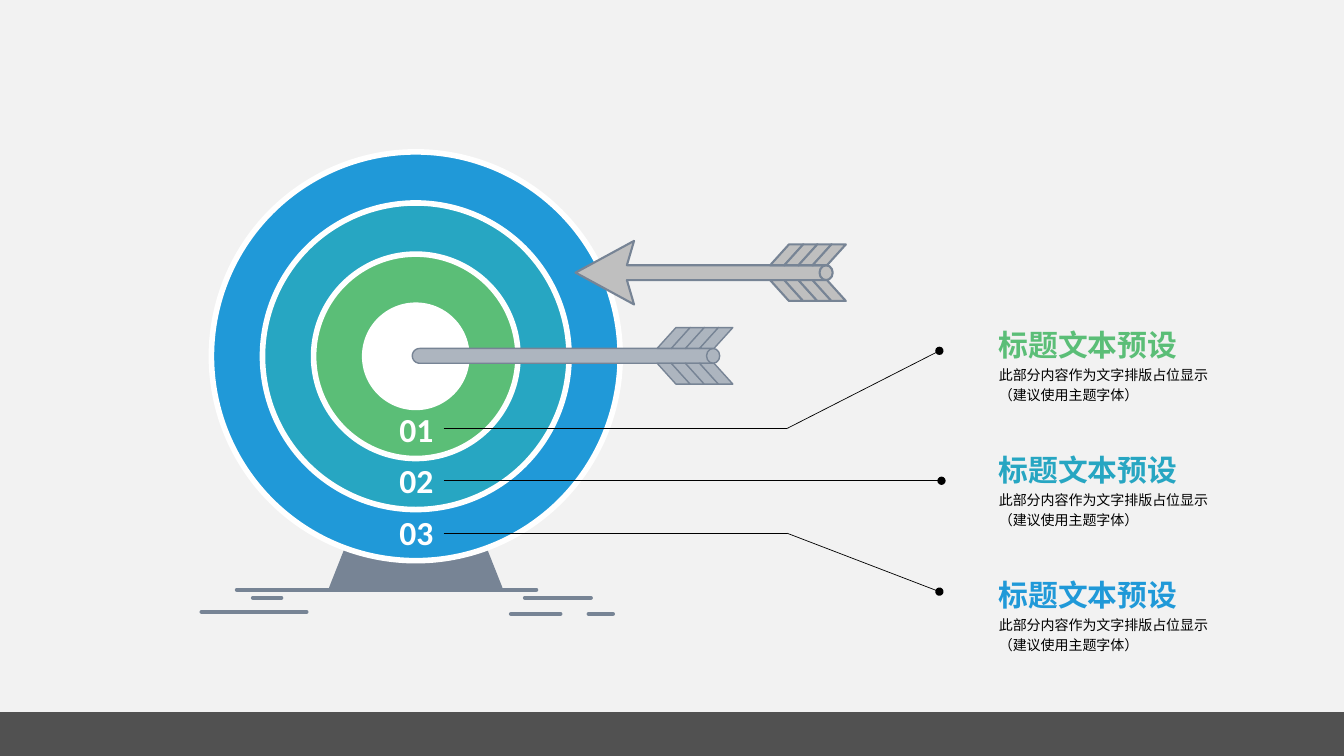
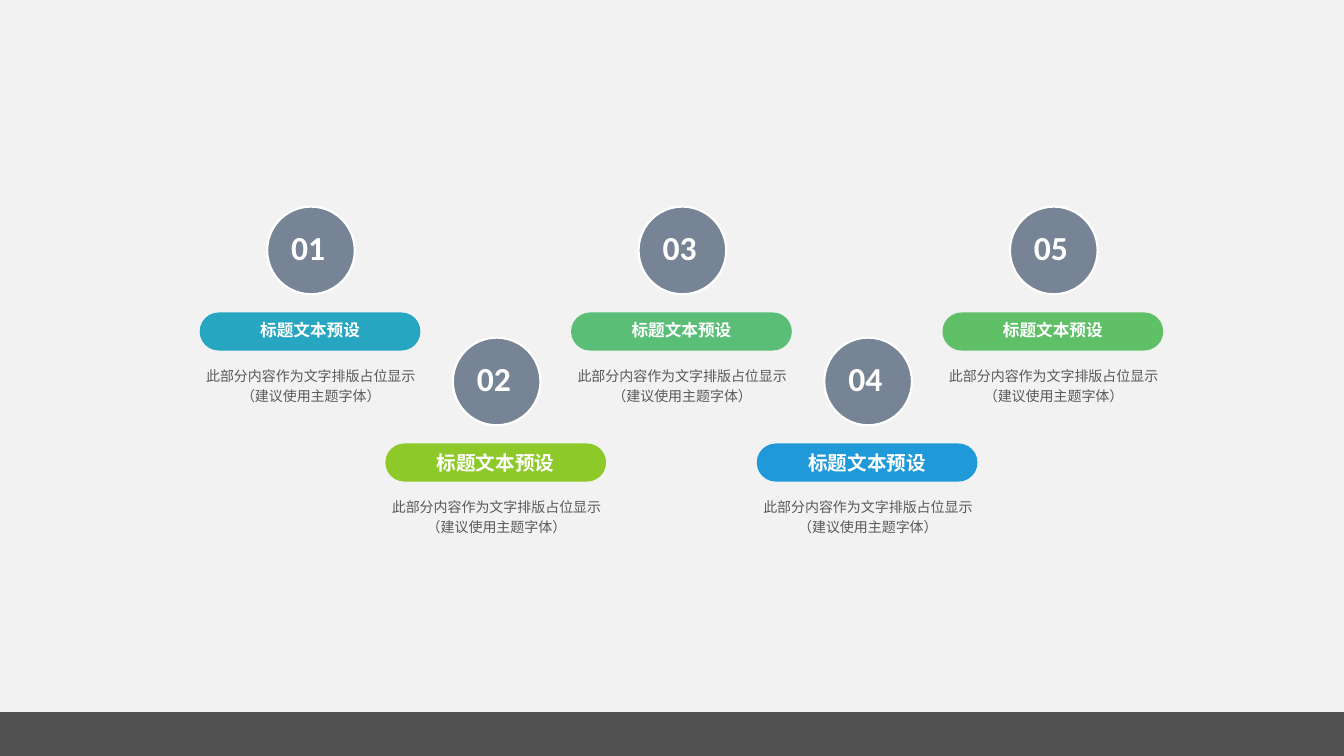
import math
from itertools import pairwise

from lxml import etree
from pptx import Presentation
from pptx.dml.color import RGBColor
from pptx.enum.lang import MSO_LANGUAGE_ID
from pptx.enum.shapes import MSO_CONNECTOR, MSO_SHAPE
from pptx.enum.text import MSO_ANCHOR, PP_ALIGN
from pptx.oxml.ns import qn
from pptx.util import Pt

RECTANGLE, ELLIPSE = MSO_SHAPE.RECTANGLE, MSO_SHAPE.OVAL
TRAPEZOID, PARALLELOGRAM = MSO_SHAPE.TRAPEZOID, MSO_SHAPE.PARALLELOGRAM
ROUNDED = MSO_SHAPE.ROUNDED_RECTANGLE
STRAIGHT = MSO_CONNECTOR.STRAIGHT
LEFT, CENTER = PP_ALIGN.LEFT, PP_ALIGN.CENTER
TOP, MIDDLE = MSO_ANCHOR.TOP, MSO_ANCHOR.MIDDLE
CHINESE = MSO_LANGUAGE_ID.SIMPLIFIED_CHINESE

FONT = "Calibri"
WIDTH, HEIGHT = 960, 540
BAND_TOP = 508.7
PAPER, BAND, WHITE, BLACK = "F2F2F2", "0D0D0D", "FFFFFF", "000000"
SLATE, BODY_GRAY = "778495", "595959"
GREEN, TEAL, BLUE, LIME, LEAF = "5BBE77", "27A6C2", "2099D8", "8DC928", "60C067"

TITLE = "标题文本预设"
DESCRIPTION = ["此部分内容作为文字排版占位显示", "（建议使用主题字体）"]

# Target slide: colours from the inner ring to the outer one
RING_COLORS = [WHITE, GREEN, TEAL, BLUE]
TARGET_X, TARGET_Y, RING_STEP = 297, 254.5, 73
# (number, leader points) for each ring
LEADERS = [
    ("01", [(316.8, 306), (562.3, 306), (671, 250.6)]),
    ("02", [(316.8, 343.4), (672.5, 343.4)]),
    ("03", [(316.8, 380.9), (562.3, 380.9), (671, 422.6)]),
]
# (from x, to x, y)
GROUND_LINES = [
    (169.2, 383, 421.2), (180.7, 200.9, 427), (375, 422, 427),
    (365, 400.3, 438.5), (144, 218.9, 437), (420.5, 437.8, 438.5),
]
SHAFT_HALF = 5.3

# Steps slide: (number, pill colour, title size, title line spacing)
STEPS = [
    ("01", TEAL, 11.9, 0.8),
    ("02", LIME, 14, 1),
    ("03", GREEN, 11.9, 0.8),
    ("04", BLUE, 14, 1),
    ("05", LEAF, 11.9, 0.8),
]


def rgb(value):
    return RGBColor.from_string(value)


def paint(shape, fill, line=None, weight=1):
    shape.shadow.inherit = False
    shape.fill.solid()
    shape.fill.fore_color.rgb = rgb(fill)
    if line:
        shape.line.color.rgb = rgb(line)
        shape.line.width = Pt(weight)
    else:
        shape.line.fill.background()


def add_figure(slide, kind, box, fill, line=None, weight=1, adjust=None):
    shape = slide.shapes.add_shape(kind, *map(Pt, box))
    paint(shape, fill, line, weight)
    if adjust is not None:
        shape.adjustments[0] = adjust
    return shape


def add_outline(slide, points, fill, line, weight):
    start, *rest = [(Pt(x), Pt(y)) for x, y in points]
    builder = slide.shapes.build_freeform(*start)
    builder.add_line_segments(rest, close=True)
    paint(builder.convert_to_shape(), fill, line, weight)


def write(shape, lines, size, color, bold=False, align=CENTER, anchor=MIDDLE,
          spacing=1, insets=(0, 0, 0, 0), wrap=False):
    """Fill a shape with one paragraph per line; insets run left, top, right, bottom."""
    frame = shape.text_frame
    left, top, right, bottom = map(Pt, insets)
    frame_format = {
        "word_wrap": wrap, "vertical_anchor": anchor, "margin_left": left,
        "margin_top": top, "margin_right": right, "margin_bottom": bottom,
    }
    for name, value in frame_format.items():
        setattr(frame, name, value)
    frame.text = "\n".join(lines)
    font_format = {"name": FONT, "size": Pt(size), "bold": bold, "language_id": CHINESE}
    for paragraph in frame.paragraphs:
        paragraph.alignment = align
        paragraph.line_spacing = spacing
        font = paragraph.runs[0].font
        for name, value in font_format.items():
            setattr(font, name, value)
        font.color.rgb = rgb(color)


def add_text(slide, box, lines, size, color, **options):
    write(slide.shapes.add_textbox(*map(Pt, box)), lines, size, color, **options)


def add_line(slide, start, end, color, weight, dot=False, round_cap=False):
    line = slide.shapes.add_connector(STRAIGHT, *map(Pt, (*start, *end)))
    line.line.color.rgb = rgb(color)
    line.line.width = Pt(weight)
    properties = line.element.spPr
    etree.SubElement(properties, qn("a:effectLst"))
    stroke = properties.find(qn("a:ln"))
    if round_cap:
        stroke.set("cap", "rnd")
    if dot:
        etree.SubElement(stroke, qn("a:tailEnd")).set("type", "oval")


def set_up_master(prs, slide):
    """Give the master its background and bottom band, drawn first on a slide."""
    master = prs.slide_master
    master.background.fill.solid()
    master.background.fill.fore_color.rgb = rgb(PAPER)
    band = add_figure(slide, RECTANGLE, (0, BAND_TOP, WIDTH, HEIGHT - BAND_TOP), BAND)
    color = band.element.spPr.find(qn("a:solidFill"))[0]
    etree.SubElement(color, qn("a:alpha")).set("val", "70000")
    master.shapes.element.append(band.element)


def add_arrow(slide, shaft, nock_left, axis, fill, weight):
    """Draw an arrow; shaft points are relative to its axis."""
    style = (fill, SLATE, weight)
    add_outline(slide, [(x, axis + dy) for x, dy in shaft], *style)
    nock = (nock_left, axis - SHAFT_HALF, 9.4, 2 * SHAFT_HALF)
    add_figure(slide, ELLIPSE, nock, *style)
    vane_width, vane_height, vane_step = 23.8, 14.9, 10.1
    for below in (False, True):
        top = axis + SHAFT_HALF if below else axis - SHAFT_HALF - vane_height
        for i in range(4):
            box = (nock_left - 35.3 + i * vane_step, top, vane_width, vane_height)
            vane = add_figure(slide, PARALLELOGRAM, box, *style, adjust=0.904)
            if below:
                vane.element.spPr.find(qn("a:xfrm")).set("flipV", "1")


def build_target(slide):
    add_figure(slide, TRAPEZOID, (236.9, 370.8, 120.2, 49.7), SLATE, SLATE, 4, 0.396)
    for rank in range(len(RING_COLORS), 0, -1):
        size = rank * RING_STEP
        box = (TARGET_X - size / 2, TARGET_Y - size / 2, size, size)
        add_figure(slide, ELLIPSE, box, RING_COLORS[rank - 1], WHITE, 4)

    hit_left, hit_nock = 294.5, 504.7
    cap = [
        (hit_left + SHAFT_HALF - SHAFT_HALF * math.sin(angle), SHAFT_HALF * math.cos(angle))
        for angle in (math.pi * i / 12 for i in range(13))
    ]
    shaft_end = hit_nock + 4.7
    hit_shaft = [(shaft_end, -SHAFT_HALF), (shaft_end, SHAFT_HALF), *cap]
    add_arrow(slide, hit_shaft, hit_nock, 254.2, "ADB5BF", 1)

    upper = [(411.1, 0), (452.9, -22.7), (447.8, -SHAFT_HALF), (589.7, -SHAFT_HALF)]
    lower = [(x, -dy) for x, dy in reversed(upper[1:])]
    add_arrow(slide, upper + lower, 585.4, 194.8, "BFBFBF", 1.5)

    for x1, x2, y in GROUND_LINES:
        add_line(slide, (x1, y), (x2, y), SLATE, 3, round_cap=True)

    for i, (number, points) in enumerate(LEADERS):
        add_text(slide, (283.7, 295.2 + i * 36.7, 27.4, 25.9), [number], 24, WHITE,
                 bold=True, spacing=0.9)
        for start, end in pairwise(points):
            add_line(slide, start, end, BLACK, 0.5, dot=end == points[-1])
        top = 233.3 + i * 89.25
        legend = {"align": LEFT, "anchor": TOP, "insets": (42.5, 0, 0, 0)}
        add_text(slide, (671, top, 172, 25.9), [TITLE], 21.3, RING_COLORS[i + 1],
                 bold=True, **legend)
        add_text(slide, (671, top + 25.9, 219, 36), DESCRIPTION, 10, BLACK,
                 spacing=1.2, wrap=True, **legend)


def build_steps(slide):
    pill_width, pill_height, circle = 157.7, 27.2, 62.6
    for i, (number, color, size, spacing) in enumerate(STEPS):
        left = 142.6 + i * 132.65
        top = 223.2 + i % 2 * 93.6
        pill = add_figure(slide, ROUNDED, (left, top, pill_width, pill_height), color,
                          adjust=0.5)
        write(pill, [TITLE], size, WHITE, bold=True, spacing=spacing)
        add_text(slide, (left + 0.5, top + pill_height, pill_width, 48.2), DESCRIPTION,
                 10, BODY_GRAY, spacing=1.2, wrap=True)
        circle_left = left + (pill_width - circle) / 2 + 0.7
        badge = add_figure(slide, ELLIPSE, (circle_left, top - 75.6, circle, circle),
                           SLATE, WHITE, 1.5)
        write(badge, [number], 24, WHITE, bold=True, insets=(0, 0, 4, 4.6))


def main():
    prs = Presentation()
    prs.slide_width, prs.slide_height = Pt(WIDTH), Pt(HEIGHT)
    blank = prs.slide_layouts[6]
    target, steps = [prs.slides.add_slide(blank) for _ in range(2)]
    set_up_master(prs, target)
    build_target(target)
    build_steps(steps)
    prs.save("out.pptx")


if __name__ == "__main__":
    main()
